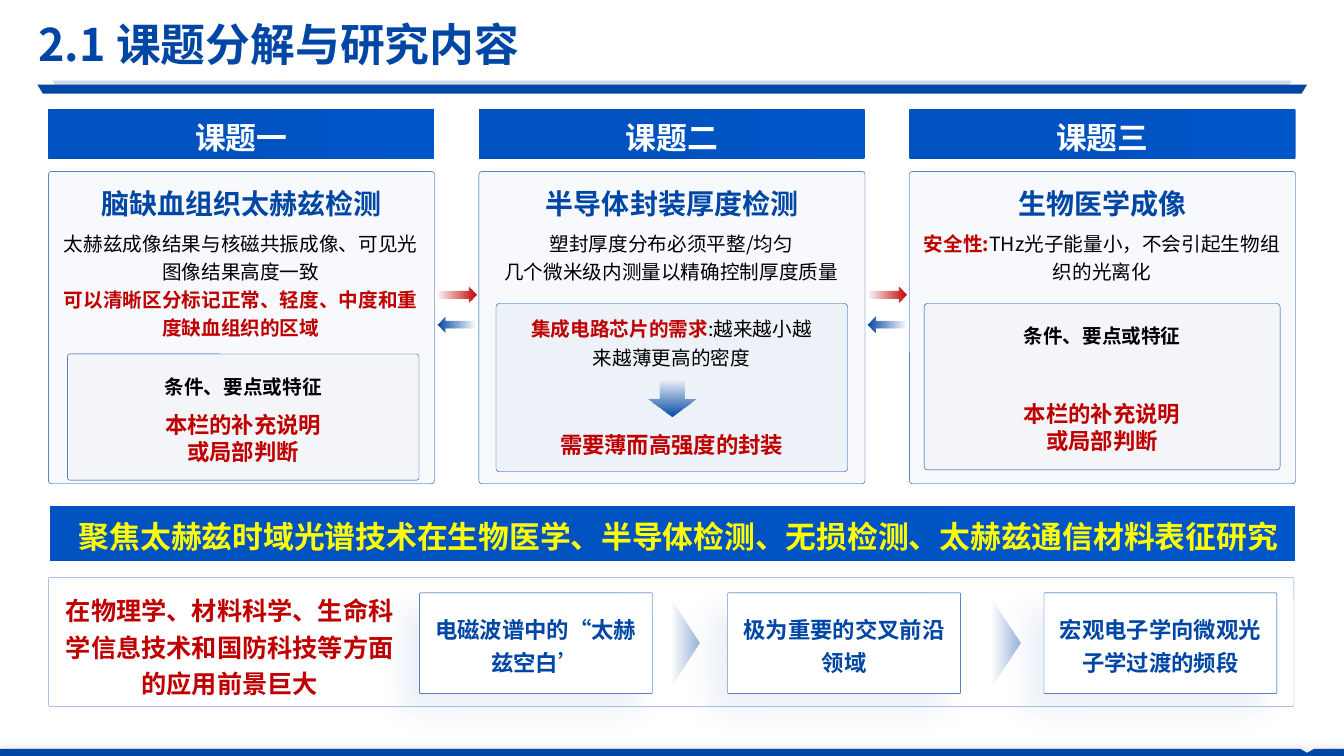
"""Build the slide on topic breakdown and research content."""
from dataclasses import dataclass
from typing import NamedTuple

from lxml.etree import SubElement
from pptx import Presentation
from pptx.dml.color import RGBColor
from pptx.enum.shapes import MSO_SHAPE
from pptx.enum.text import MSO_ANCHOR, MSO_AUTO_SIZE, PP_ALIGN
from pptx.oxml.ns import qn
from pptx.util import Cm, Pt

FONT = "Noto Sans CJK SC"
BLUE, RED, BLACK, WHITE, YELLOW = "0046A5", "C00000", "000000", "FFFFFF", "FFFF00"
PALE = "F3F5F8"
COLUMN_LEFT, COLUMN_PITCH, COLUMN_WIDTH = 1.22, 10.85, 9.73


class Box(NamedTuple):
    left: float
    top: float
    width: float
    height: float

    def lengths(self):
        return [Cm(value) for value in self]


class Run(NamedTuple):
    text: str
    color: str = BLACK
    bold: bool = False


class Stop(NamedTuple):
    position: float
    color: str
    opacity: int = 100


@dataclass
class Topic:
    label: str
    heading: str
    details: list
    detail_height: float


@dataclass
class Supplement:
    box: Box
    judgement_offset: float


@dataclass
class Step:
    left: float
    text: str


BAR = (Stop(0, "0055C8"), Stop(0.57, "0052C1"))
CHEVRON = (Stop(0, BLUE, 40), Stop(0.87, BLUE, 0))

TOPICS = [
    Topic("课题一", "脑缺血组织太赫兹检测", [
        [Run("太赫兹成像结果与核磁共振成像、可见光图像结果高度一致")],
        [Run("可以清晰区分标记正常、轻度、中度和重度缺血组织的区域", RED, True)]], 3.07),
    Topic("课题二", "半导体封装厚度检测", [
        [Run("塑封厚度分布必须平整/均匀")],
        [Run("几个微米级内测量以精确控制厚度质量")]], 1.63),
    Topic("课题三", "生物医学成像", [
        [Run("安全性:", RED, True), Run("THz光子能量小，不会引起生物组织的光离化")]], 1.63),
]
SUPPLEMENTS = [
    Supplement(Box(1.7, 8.92, 8.86, 3.18), 1.44),
    Supplement(Box(23.29, 7.65, 8.97, 4.19), 2.43),
]
STEPS = [
    Step(10.57, "电磁波谱中的“太赫兹空白’"),
    Step(18.34, "极为重要的交叉前沿领域"),
    Step(26.31, "宏观电子学向微观光子学过渡的频段"),
]


def rgb(color: str) -> RGBColor:
    return RGBColor.from_string(color)


def set_opacity(parent, percent: int) -> None:
    if percent < 100:
        for color in parent.iter(qn("a:srgbClr")):
            SubElement(color, qn("a:alpha"), val=str(percent * 1000))


def add_shadow(shape, color: str, opacity: int, blur: float, distance: float, angle: int) -> None:
    effects = shape._element.spPr.find(qn("a:effectLst"))
    shadow = SubElement(effects, qn("a:outerShdw"), blurRad=str(Pt(blur)),
                        dist=str(Pt(distance)), dir=str(angle * 60000), rotWithShape="0")
    SubElement(shadow, qn("a:srgbClr"), val=color)
    set_opacity(shadow, opacity)


def paint(shape, fill=None, opacity: int = 100, line=None, line_opacity: int = 100) -> None:
    shape.shadow.inherit = False
    if fill:
        shape.fill.solid()
        shape.fill.fore_color.rgb = rgb(fill)
        set_opacity(shape._element.spPr.find(qn("a:solidFill")), opacity)
    else:
        shape.fill.background()
    if line:
        shape.line.color.rgb = rgb(line)
        shape.line.width = Pt(0.25)
        set_opacity(shape._element.spPr.find(qn("a:ln")), line_opacity)
    else:
        shape.line.fill.background()


def add_shape(slide, kind, box: Box, rotation: int = 0, adjustment=None, **colors):
    shape = slide.shapes.add_shape(kind, *box.lengths())
    shape.rotation = rotation
    if adjustment is not None:
        shape.adjustments[0] = adjustment
    paint(shape, **colors)
    return shape


def add_gradient(slide, kind, box: Box, stops, angle: int = 270, **options) -> None:
    shape = add_shape(slide, kind, box, **options)
    shape.fill.gradient()
    shape.fill.gradient_angle = angle
    for gradient_stop, stop in zip(shape.fill.gradient_stops, stops):
        gradient_stop.position = stop.position
        gradient_stop.color.rgb = rgb(stop.color)
    elements = shape._element.spPr.iter(qn("a:gs"))
    for element, stop in zip(elements, stops):
        set_opacity(element, stop.opacity)


def add_arrow(slide, box: Box, color: str, rotation: int = 0) -> None:
    add_gradient(slide, MSO_SHAPE.DOWN_ARROW, box, (Stop(0, color, 0), Stop(1, color)),
                 rotation=rotation)


def add_text(slide, box: Box, *lines, size: int = 14, color: str = BLACK, bold: bool = True,
             spacing: float = 1.2, align=PP_ALIGN.CENTER, anchor=MSO_ANCHOR.TOP,
             insets=(0.25, 0.13), wrap: bool = True, grow: bool = True) -> None:
    frame = slide.shapes.add_textbox(*box.lengths()).text_frame
    frame.word_wrap = wrap
    frame.auto_size = MSO_AUTO_SIZE.SHAPE_TO_FIT_TEXT if grow else MSO_AUTO_SIZE.NONE
    frame.vertical_anchor = anchor
    frame.margin_left = frame.margin_right = Cm(insets[0])
    frame.margin_top = frame.margin_bottom = Cm(insets[1])
    for index, line in enumerate(lines):
        paragraph = frame.add_paragraph() if index else frame.paragraphs[0]
        paragraph.alignment = align
        paragraph.line_spacing = spacing
        for part in [Run(line, color, bold)] if isinstance(line, str) else line:
            run = paragraph.add_run()
            run.text = part.text
            run.font.size = Pt(size)
            run.font.bold = part.bold
            run.font.color.rgb = rgb(part.color)
            run.font.name = FONT
            SubElement(run.font._element, qn("a:ea"), typeface=FONT)


def add_topic(slide, topic: Topic, left: float) -> None:
    add_gradient(slide, MSO_SHAPE.ROUNDED_RECTANGLE, Box(left, 2.74, COLUMN_WIDTH, 1.27), BAR,
                 angle=180, adjustment=0.03)
    add_text(slide, Box(left + 1.7, 2.74, 6.32, 1.27), topic.label, size=22, color=WHITE,
             spacing=1.1, insets=(0.28, 0.15))
    add_shape(slide, MSO_SHAPE.ROUNDED_RECTANGLE, Box(left, 4.32, COLUMN_WIDTH, 7.87),
              adjustment=0.01, fill=BLUE, opacity=3, line=BLUE)
    add_text(slide, Box(left + 0.88, 4.39, 7.98, 1.22), topic.heading, size=20, color=BLUE)
    add_text(slide, Box(left, 5.59, 9.7, topic.detail_height), *topic.details)


def add_supplement(slide, supplement: Supplement) -> None:
    left, top, width, _ = supplement.box
    add_shape(slide, MSO_SHAPE.ROUNDED_RECTANGLE, supplement.box, adjustment=0.02,
              fill=PALE, line=BLUE)
    inner = dict(anchor=MSO_ANCHOR.MIDDLE, insets=(0.15, 0.08), grow=False)
    add_text(slide, Box(left + 0.2, top + 0.25, width - 0.4, 1.02), "条件、要点或特征", **inner)
    add_text(slide, Box(left + 0.25, top + supplement.judgement_offset, width - 0.5, 1.37),
             "本栏的补充说明", "或局部判断", size=16, color=RED, spacing=1, **inner)


def add_step(slide, step: Step) -> None:
    card = add_shape(slide, MSO_SHAPE.ROUNDED_RECTANGLE, Box(step.left, 14.94, 5.87, 2.54),
                     adjustment=0.01, fill=WHITE, line=BLUE)
    add_shadow(card, BLUE, opacity=8, blur=21, distance=17, angle=135)
    add_text(slide, Box(step.left - 0.05, 15.27, 5.97, 1.83), step.text, size=16, color=BLUE)


def add_frame(slide) -> None:
    for box, opacity in ((Box(1.32, 2.03, 31.24, 0.23), 20), (Box(0.94, 2.13, 32, 0.23), 100)):
        add_shape(slide, MSO_SHAPE.TRAPEZOID, box, rotation=180, adjustment=0.61,
                  fill=BLUE, opacity=opacity)
    outline = [(32.77, 18.87), (32.94, 18.97), (33.12, 18.87), (33.87, 18.87),
               (33.87, 19.05), (0, 19.05)]
    builder = slide.shapes.build_freeform(Cm(0), Cm(18.87))
    builder.add_line_segments([(Cm(x), Cm(y)) for x, y in outline])
    footer = builder.convert_to_shape()
    paint(footer, fill=BLUE)
    add_shadow(footer, BLACK, opacity=14, blur=7.7, distance=0, angle=0)
    add_text(slide, Box(0.97, 0.25, 31.95, 1.7), "2.1 课题分解与研究内容", size=32, color=BLUE,
             spacing=1, align=PP_ALIGN.LEFT, anchor=MSO_ANCHOR.MIDDLE, insets=(0, 0),
             wrap=False, grow=False)


def main() -> None:
    presentation = Presentation()
    presentation.slide_width, presentation.slide_height = Cm(33.87), Cm(19.05)
    slide = presentation.slides.add_slide(presentation.slide_layouts[6])
    for index, topic in enumerate(TOPICS):
        add_topic(slide, topic, COLUMN_LEFT + index * COLUMN_PITCH)
    for left in (11.3, 11.3 + COLUMN_PITCH):
        add_arrow(slide, Box(left, 6.93, 0.41, 0.99), RED, rotation=270)
        add_arrow(slide, Box(left, 7.7, 0.41, 0.97), BLUE, rotation=90)
    for supplement in SUPPLEMENTS:
        add_supplement(slide, supplement)
    add_shape(slide, MSO_SHAPE.ROUNDED_RECTANGLE, Box(12.5, 7.65, 8.86, 4.24),
              adjustment=0.02, fill=BLUE, opacity=4, line=BLUE)
    add_arrow(slide, Box(16.31, 9.6, 1.24, 0.89), BLUE)
    add_text(slide, Box(12.9, 7.75, 8.05, 1.63),
             [Run("集成电路芯片的需求", RED, True), Run(":越来越小越来越薄更高的密度")])
    add_text(slide, Box(13.49, 10.74, 6.88, 0.94), "需要薄而高强度的封装", size=16, color=RED,
             spacing=1)
    add_gradient(slide, MSO_SHAPE.RECTANGLE, Box(1.27, 12.75, 31.37, 1.4), BAR, angle=180)
    add_text(slide, Box(1.22, 12.83, 31.75, 1.24),
             "聚焦太赫兹时域光谱技术在生物医学、半导体检测、无损检测、太赫兹通信材料表征研究",
             size=22, color=YELLOW, spacing=1.1)
    add_shape(slide, MSO_SHAPE.ROUNDED_RECTANGLE, Box(1.22, 14.55, 31.39, 3.25),
              adjustment=0.01, line=BLUE, line_opacity=50)
    add_text(slide, Box(1.27, 14.73, 9.04, 2.97),
             "在物理学、材料科学、生命科学信息技术和国防科技等方面的应用前景巨大",
             size=18, color=RED)
    for step in STEPS:
        add_step(slide, step)
    for left in (15.95, 24.03):
        add_gradient(slide, MSO_SHAPE.ISOSCELES_TRIANGLE, Box(left, 15.8, 2.54, 0.81), CHEVRON,
                     rotation=90)
    add_frame(slide)
    presentation.save("out.pptx")


if __name__ == "__main__":
    main()
